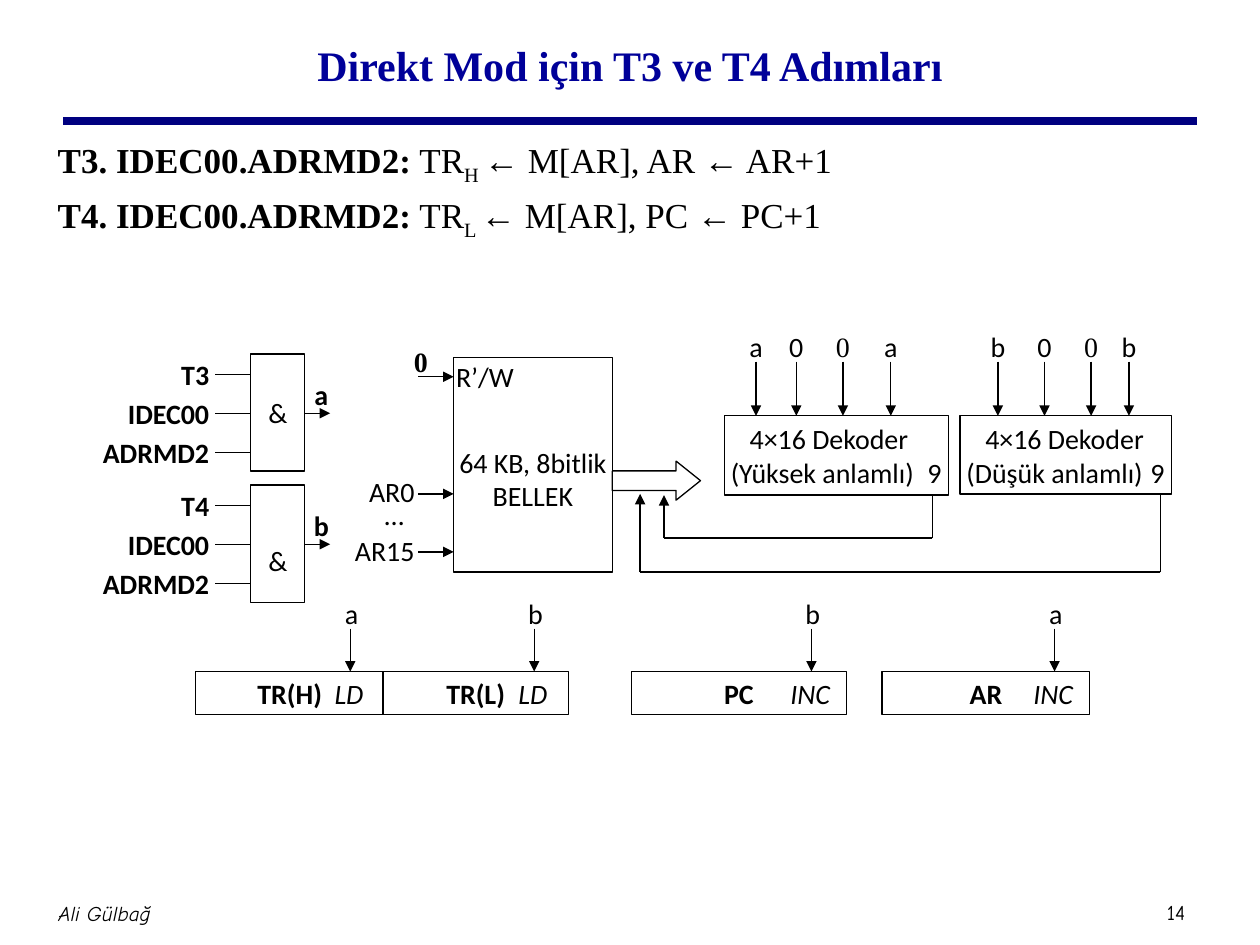
from lxml.etree import SubElement
from pptx import Presentation
from pptx.dml.color import RGBColor
from pptx.enum.shapes import MSO_CONNECTOR, MSO_SHAPE
from pptx.enum.text import MSO_ANCHOR, PP_ALIGN
from pptx.oxml.ns import qn
from pptx.util import Inches, Pt

SERIF, SANS, HAND = "Times New Roman", "Calibri", "Comic Neue"
BLACK, WHITE, NAVY, TITLE_BLUE = "000000", "FFFFFF", "000080", "000099"


def color(hex_code):
    """Turn a hex string into a colour."""
    return RGBColor.from_string(hex_code)


def style(paragraph, size=16, name=SANS, bold=False, italic=False, ink=BLACK):
    """Set the font of a whole paragraph."""
    font = paragraph.font
    font.size, font.name = Pt(size), name
    font.bold, font.italic = bold, italic
    font.color.rgb = color(ink)


def set_insets(frame, horizontal=0, vertical=0):
    """Set equal side insets and equal top and bottom insets."""
    frame.margin_left = frame.margin_right = Inches(horizontal)
    frame.margin_top = frame.margin_bottom = Inches(vertical)


def add_label(slide, text, left, top, width, height, align=PP_ALIGN.CENTER, **font):
    """Add a vertically centred line of text in the given box."""
    frame = slide.shapes.add_textbox(
        Inches(left), Inches(top), Inches(width), Inches(height)).text_frame
    frame.word_wrap = True
    frame.vertical_anchor = MSO_ANCHOR.MIDDLE
    set_insets(frame)
    paragraph = frame.paragraphs[0]
    paragraph.text, paragraph.alignment = text, align
    style(paragraph, **font)


def add_tag(slide, text, center, middle, **font):
    """Add a short label centred on a point."""
    add_label(slide, text, center - 0.3, middle - 0.15, 0.6, 0.3, **font)


def add_block(slide, left, top, width, height, kind=MSO_SHAPE.RECTANGLE):
    """Add a white outlined shape and return it."""
    block = slide.shapes.add_shape(
        kind, Inches(left), Inches(top), Inches(width), Inches(height))
    block.shadow.inherit = False
    block.fill.solid()
    block.fill.fore_color.rgb = color(WHITE)
    block.line.color.rgb = color(BLACK)
    block.line.width = Pt(0.75)
    block.text_frame.word_wrap = True
    set_insets(block.text_frame)
    return block


def add_wire(slide, start, end, arrow=False, ink=BLACK, width=0.75):
    """Draw a straight line, with an arrowhead at its end if asked."""
    wire = slide.shapes.add_connector(
        MSO_CONNECTOR.STRAIGHT, *(Inches(value) for value in (*start, *end)))
    wire.line.color.rgb = color(ink)
    wire.line.width = Pt(width)
    if arrow:
        SubElement(wire.line._get_or_add_ln(), qn("a:tailEnd"), type="triangle")
    SubElement(wire._element.spPr, qn("a:effectLst"))


def add_header(slide, left, top, width):
    """Place the title and the rule below it."""
    add_label(slide, "Direkt Mod için T3 ve T4 Adımları", left + 0.25, top,
              width - 0.5, 0.86, size=24, name=SERIF, bold=True, ink=TITLE_BLUE)
    rule = top + 0.88
    add_wire(slide, (left, rule), (left + width, rule), ink=NAVY, width=4.5)


def add_steps(slide, left, top, width, height):
    """Write the register transfers of steps T3 and T4."""
    frame = slide.shapes.add_textbox(
        Inches(left), Inches(top), Inches(width), Inches(height)).text_frame
    frame.word_wrap = True
    steps = [("T3.", "H", "← M[AR], AR ← AR+1"), ("T4.", "L", "← M[AR], PC ← PC+1")]
    for index, (step, half, transfer) in enumerate(steps):
        paragraph = frame.add_paragraph() if index else frame.paragraphs[0]
        if index:
            paragraph.space_before = Pt(4)
        style(paragraph, size=20, name=SERIF)
        condition, _, subscript, _ = [
            paragraph.add_run() for _ in range(4)]
        for run, text in zip(paragraph.runs, (
                f"{step} IDEC00.ADRMD2:", " TR", f"{half} ", transfer)):
            run.text = text
        condition.font.bold = True
        subscript._r.get_or_add_rPr().set("baseline", "-25000")


def add_gate(slide, left, top, step, output, sign_drop):
    """Draw an AND gate with three named inputs and one output."""
    gate_left, width, height = left + 1.48, 0.43, 0.93
    gate = add_block(slide, gate_left, top, width, height)
    gate.text_frame.margin_top = Inches(2 * sign_drop)
    gate.text_frame.vertical_anchor = MSO_ANCHOR.MIDDLE
    sign = gate.text_frame.paragraphs[0]
    sign.text, sign.alignment = "&", PP_ALIGN.CENTER
    style(sign)
    for index, signal in enumerate((step, "IDEC00", "ADRMD2")):
        level = top + 0.16 + 0.31 * index
        add_label(slide, signal, left, level - 0.15, 1.15, 0.3, PP_ALIGN.RIGHT, bold=True)
        add_wire(slide, (gate_left - 0.28, level), (gate_left, level))
    level, gate_right = top + 0.47, gate_left + width
    add_wire(slide, (gate_right, level), (gate_right + 0.2, level), arrow=True)
    add_tag(slide, output, gate_right + 0.13, level - 0.15, bold=True)


def add_memory(slide, left, top, width, height):
    """Draw the memory with its address, control and data lines."""
    memory = add_block(slide, left, top, width, height)
    frame = memory.text_frame
    frame.vertical_anchor = MSO_ANCHOR.TOP
    set_insets(frame, 0.02, 0.01)
    control, size = frame.paragraphs[0], frame.add_paragraph()
    control.text, control.alignment = "R’/W", PP_ALIGN.LEFT
    size.text, size.alignment = "64 KB, 8bitlik BELLEK", PP_ALIGN.CENTER
    size.space_before = Pt(30)
    style(control)
    style(size)
    for drop in (0.15, 1.08, 1.54):
        add_wire(slide, (left - 0.28, top + drop), (left, top + drop), arrow=True)
    add_tag(slide, "0", left - 0.26, top + 0.03, name=SERIF, bold=True)
    for address, drop in (("AR0", 1.06), ("AR15", 1.53)):
        add_label(slide, address, left - 0.91, top + drop - 0.15, 0.6, 0.3, PP_ALIGN.RIGHT)
    add_tag(slide, "…", left - 0.47, top + 1.24)
    data = add_block(slide, left + width, top + 0.82, 0.7, 0.31, MSO_SHAPE.RIGHT_ARROW)
    data.adjustments[0], data.adjustments[1] = 0.5, 0.625


def add_decoder(slide, left, top, width, height, half, inputs, pins, feedback):
    """Draw a decoder, its four inputs and its path back to the data arrow."""
    decoder = add_block(slide, left, top, width, height)
    frame = decoder.text_frame
    frame.vertical_anchor = MSO_ANCHOR.TOP
    set_insets(frame, 0, 0.05)
    frame.margin_left = Inches(0.05)
    kind, detail = frame.paragraphs[0], frame.add_paragraph()
    kind.text, detail.text = "4×16 Dekoder", f"({half} anlamlı)\t9"
    kind._p.get_or_add_pPr().set("marL", str(Inches(0.15)))
    stops = SubElement(detail._p.get_or_add_pPr(), qn("a:tabLst"))
    SubElement(stops, qn("a:tab"), pos=str(Inches(width - 0.22)), algn="l")
    for paragraph in (kind, detail):
        paragraph.alignment = PP_ALIGN.LEFT
        style(paragraph)
    for index, (signal, pin) in enumerate(zip(inputs, pins)):
        add_tag(slide, signal, left + pin, top - 0.55, name=SERIF if index == 2 else SANS)
        add_wire(slide, (left + pin, top - 0.43), (left + pin, top), arrow=True)
    exit_x, bus_x, bus_y = feedback
    bottom = top + height
    add_wire(slide, (exit_x, bottom), (exit_x, bus_y))
    add_wire(slide, (exit_x, bus_y), (bus_x, bus_y))
    add_wire(slide, (bus_x, bus_y), (bus_x, bottom), arrow=True)


def add_register(slide, left, top, width, height, name, control, signal, pin):
    """Draw a register with its control input and driving signal."""
    register = add_block(slide, left, top, width, height)
    register.text_frame.vertical_anchor = MSO_ANCHOR.MIDDLE
    title = register.text_frame.paragraphs[0]
    title.text, title.alignment = name, PP_ALIGN.CENTER
    style(title, bold=True)
    pin_x = left + pin
    add_tag(slide, control, pin_x - 0.01, top + 0.17, italic=True)
    add_tag(slide, signal, pin_x + 0.01, top - 0.46)
    add_wire(slide, (pin_x, top - 0.34), (pin_x, top), arrow=True)


def add_footer(slide, left, top, width):
    """Place the author and the page number."""
    add_label(slide, "Ali Gülbağ", left, top, 0.94, 0.5, size=12, name=HAND, italic=True)
    add_label(slide, "14", left + width - 0.47, top + 0.09, 0.47, 0.3, size=12, name=HAND)


def main():
    """Build and save the slide."""
    deck = Presentation()
    deck.slide_width, deck.slide_height = Inches(10), Inches(7.5)
    slide = deck.slides.add_slide(deck.slide_layouts[6])
    add_header(slide, 0.5, 0.08, 9)
    add_steps(slide, 0.36, 1.05, 9.16, 0.7)
    add_gate(slide, 0.51, 2.81, "T3", "a", 0)
    add_gate(slide, 0.51, 3.85, "T4", "b", 0.13)
    add_memory(slide, 3.6, 2.84, 1.26, 1.7)
    add_decoder(slide, 5.75, 3.3, 1.78, 0.63, "Yüksek", "a00a",
                (0.25, 0.57, 0.94, 1.32), (7.4, 5.27, 4.27))
    add_decoder(slide, 7.62, 3.3, 1.68, 0.62, "Düşük", "b00b",
                (0.3, 0.67, 1.04, 1.34), (9.21, 5.08, 4.54))
    for left, width, name, control, signal, pin in (
            (1.55, 1.5, "TR(H)", "LD", "a", 1.23), (3.04, 1.47, "TR(L)", "LD", "b", 1.2),
            (5.01, 1.71, "PC", "INC", "b", 1.43), (7, 1.65, "AR", "INC", "a", 1.37)):
        add_register(slide, left, 5.33, width, 0.34, name, control, signal, pin)
    add_footer(slide, 0.36, 7, 9.21)
    deck.save("out.pptx")


if __name__ == "__main__":
    main()
